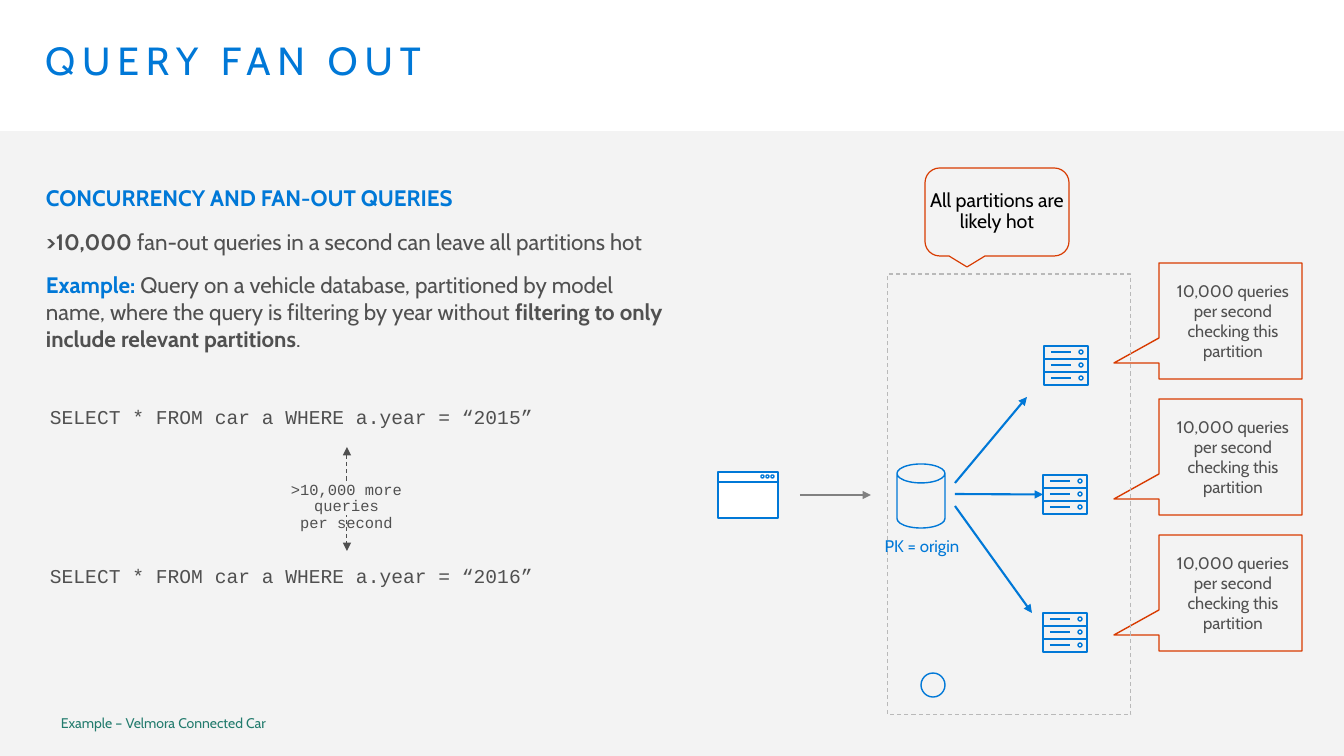
import lxml.etree
import pptx
import pptx.dml.color
import pptx.enum.dml
import pptx.enum.shapes
import pptx.enum.text
import pptx.oxml.ns
import pptx.util

RGBColor = pptx.dml.color.RGBColor
SHAPE = pptx.enum.shapes.MSO_SHAPE
ALIGN = pptx.enum.text.PP_ALIGN
ANCHOR = pptx.enum.text.MSO_ANCHOR
DASH = pptx.enum.dml.MSO_LINE.DASH

BLUE = RGBColor(0x00, 0x78, 0xD7)
DARK = RGBColor(0x50, 0x50, 0x50)
GRAY = RGBColor(0x80, 0x80, 0x80)
LIGHT = RGBColor(0xB9, 0xB9, 0xB9)
PANEL = RGBColor(0xF3, 0xF3, 0xF3)
ORANGE = RGBColor(0xD8, 0x3B, 0x01)
GREEN = RGBColor(0x22, 0x7B, 0x6D)
BLACK = RGBColor(0, 0, 0)
WHITE = RGBColor(255, 255, 255)
SANS, MONO = "Cabin", "Courier New"
PX = 914400 / 100.8

# Content: each paragraph is a list of runs (text, colour, bold)
TITLE = [[("QUERY FAN OUT", BLUE, False)]]
BODY = [
    [("CONCURRENCY AND FAN-OUT QUERIES", BLUE, True)],
    [(">10,000", DARK, True),
     (" fan-out queries in a second can leave all partitions hot", DARK, False)],
    [("Example: ", BLUE, True),
     ("Query on a vehicle database, partitioned by model name, where the query "
      "is filtering by year without ", DARK, False),
     ("filtering to only include relevant partitions", DARK, True),
     (".", DARK, False)],
]
QUERIES = [(392, "SELECT * FROM car a WHERE a.year = “2015”"),
           (551, "SELECT * FROM car a WHERE a.year = “2016”")]
RATE = [[(">10,000 more queries", DARK, False), ("\n", DARK, False),
         ("per second", DARK, False)]]
HOT = [[("All partitions are likely hot", BLACK, False)]]
CHECK = [[("10,000 queries per second checking this partition", DARK, False)]]
KEY = [[("PK = origin", BLUE, False)]]
FOOTER = [[("Example – Velmora Connected Car", GREEN, False)]]

# Geometry in px
CALLOUT_TOPS = [263, 399, 535]
CALLOUT_OUTLINE = [(45, 75), (0, 100), (45, 100), (45, 116),
                   (188, 116), (188, 0), (45, 0)]
CALLOUT_LEFT = 1114
SERVERS = [(1044, 346), (1043, 475), (1043, 613)]
TIER_WIDTH, TIER_HEIGHT = 44, 13
FAN_ARROWS = [((955, 483), (1027, 397)), ((955, 494), (1040, 494)),
              ((955, 506), (1032, 613))]
WINDOW_DOTS = [761, 766, 771]


def px(*values):
    return [pptx.util.Emu(round(value * PX)) for value in values]


def write_text(shape, paragraphs, size=12, font=SANS, align=ALIGN.LEFT,
               anchor=ANCHOR.TOP, insets=(0, 0, 0, 0), line_spacing=1.0,
               before=0, after=0, wrap=True, tracking=None):
    frame = shape.text_frame
    frame.auto_size = pptx.enum.text.MSO_AUTO_SIZE.NONE
    frame.word_wrap = wrap
    frame.vertical_anchor = anchor
    (frame.margin_left, frame.margin_top,
     frame.margin_right, frame.margin_bottom) = px(*insets)
    for index, runs in enumerate(paragraphs):
        paragraph = frame.add_paragraph() if index else frame.paragraphs[0]
        paragraph.alignment = align
        paragraph.line_spacing = line_spacing
        paragraph.space_before = pptx.util.Pt(before)
        paragraph.space_after = pptx.util.Pt(after)
        for text, color, bold in runs:
            if text == "\n":
                paragraph.add_line_break()
                continue
            run = paragraph.add_run()
            run.text = text
            run.font.name = font
            run.font.size = pptx.util.Pt(size)
            run.font.bold = bold
            run.font.color.rgb = color
            if tracking:
                run.font._element.set("spc", str(tracking * 100))


def style_shape(shape, fill=None, line=None, weight=1, dash=None):
    shape.shadow.inherit = False
    if fill is None:
        shape.fill.background()
    else:
        shape.fill.solid()
        shape.fill.fore_color.rgb = fill
    if line is None:
        shape.line.fill.background()
    else:
        shape.line.color.rgb = line
        shape.line.width = pptx.util.Pt(weight)
        if dash:
            shape.line.dash_style = dash
    return shape


def add_shape(slide, kind, left, top, width, height, **style):
    shape = slide.shapes.add_shape(kind, *px(left, top, width, height))
    return style_shape(shape, **style)


def add_line(slide, start, end, color=BLUE, weight=1, dash=None, arrows=()):
    connector = slide.shapes.add_connector(
        pptx.enum.shapes.MSO_CONNECTOR.STRAIGHT, *px(*start, *end))
    connector.line.color.rgb = color
    connector.line.width = pptx.util.Pt(weight)
    if dash:
        connector.line.dash_style = dash
    properties = connector._element.spPr
    outline = properties.find(pptx.oxml.ns.qn("a:ln"))
    for arrow in arrows:
        lxml.etree.SubElement(outline, pptx.oxml.ns.qn(arrow), type="triangle")
    lxml.etree.SubElement(properties, pptx.oxml.ns.qn("a:effectLst"))
    return connector


def add_text_box(slide, box, paragraphs, **text_format):
    write_text(slide.shapes.add_textbox(*px(*box)), paragraphs, **text_format)


def place(shape, *box):
    shape.left, shape.top, shape.width, shape.height = px(*box)


def add_server(slide, left, top):
    tiers = []
    for tier_top in range(top, top + 3 * TIER_HEIGHT, TIER_HEIGHT):
        tiers.append(add_shape(slide, SHAPE.RECTANGLE, left, tier_top,
                               TIER_WIDTH, TIER_HEIGHT, line=BLUE))
        add_shape(slide, SHAPE.OVAL, left + 35, tier_top + 4, 4, 4, line=BLUE)
        add_line(slide, (left + 7, tier_top + 6), (left + 27, tier_top + 6))
    return tiers[1]


def add_check_callout(slide, top):
    builder = slide.shapes.build_freeform(CALLOUT_LEFT + 45, top, scale=PX)
    builder.add_line_segments([(CALLOUT_LEFT + x, top + y)
                               for x, y in CALLOUT_OUTLINE], close=True)
    callout = style_shape(builder.convert_to_shape(), line=ORANGE)
    write_text(callout, CHECK, align=ALIGN.CENTER, anchor=ANCHOR.MIDDLE,
               insets=(60, 10, 10, 10))


def main():
    presentation = pptx.Presentation()
    presentation.slide_width, presentation.slide_height = px(1344, 756)
    slide = presentation.slides.add_slide(presentation.slide_layouts[1])

    # Panel behind the content, sent to the back
    panel = add_shape(slide, SHAPE.RECTANGLE, 0, 131, 1344, 625, fill=PANEL)
    slide.shapes._spTree.insert(2, panel._element)

    # Title and body
    title, body = slide.placeholders
    place(title, 29, 32, 1285, 99)
    write_text(title, TITLE, size=28, insets=(16, 10, 16, 10),
               line_spacing=0.9, tracking=5)
    place(body, 30, 174, 654, 190)
    write_text(body, BODY, size=16, insets=(16, 10, 16, 10), before=12)
    for paragraph in body.text_frame.paragraphs:
        properties = paragraph._p.get_or_add_pPr()
        properties.set("marL", "0")
        properties.set("indent", "0")
        lxml.etree.SubElement(properties, pptx.oxml.ns.qn("a:buNone"))

    # Queries and their rate
    for top, query in QUERIES:
        add_text_box(slide, (30, top, 634, 54), [[(query, DARK, False)]],
                     size=14, font=MONO, insets=(20, 16, 20, 16),
                     line_spacing=0.9, after=6)
    add_line(slide, (347, 447), (347, 551), color=DARK, weight=0.75, dash=DASH,
             arrows=("a:headEnd", "a:tailEnd"))
    rate = add_shape(slide, SHAPE.RECTANGLE, 255, 482, 183, 33, fill=PANEL)
    write_text(rate, RATE, size=11, font=MONO, align=ALIGN.CENTER,
               line_spacing=0.9, after=6)

    # Callouts
    for top in CALLOUT_TOPS:
        add_check_callout(slide, top)
    hot = add_shape(slide, SHAPE.ROUNDED_RECTANGULAR_CALLOUT, 925, 168, 144, 88,
                    line=ORANGE, weight=0.85)
    write_text(hot, HOT, size=14, align=ALIGN.CENTER, anchor=ANCHOR.MIDDLE,
               line_spacing=0.9)

    # Database with its partitions
    add_shape(slide, SHAPE.RECTANGLE, 888, 274, 243, 441, line=LIGHT,
              weight=0.75, dash=DASH)
    add_shape(slide, SHAPE.OVAL, 921, 673, 24, 24, line=BLUE)
    database = add_shape(slide, SHAPE.CAN, 897, 464, 48, 64, line=BLUE)
    database.adjustments[0] = 0.395
    middle_tiers = [add_server(slide, *corner) for corner in SERVERS]
    arrows = [add_line(slide, start, end, weight=1.5, arrows=("a:tailEnd",))
              for start, end in FAN_ARROWS]
    arrows[1].end_connect(middle_tiers[1], 1)
    add_text_box(slide, (871, 531, 102, 30), KEY, align=ALIGN.CENTER,
                 insets=(10, 5, 10, 5), wrap=False)

    # Application window
    add_shape(slide, SHAPE.RECTANGLE, 718, 472, 60, 46, fill=WHITE, line=BLUE)
    add_line(slide, (718, 482), (778, 482))
    for left in WINDOW_DOTS:
        add_shape(slide, SHAPE.OVAL, left, 475, 3, 3, line=BLUE)
    add_line(slide, (800, 495), (871, 495), color=GRAY, weight=1.5,
             arrows=("a:tailEnd",))

    # Footer
    add_text_box(slide, (61, 717, 222, 15), FOOTER, size=10,
                 anchor=ANCHOR.MIDDLE, line_spacing=0.9, after=6)

    presentation.save("out.pptx")


if __name__ == "__main__":
    main()
